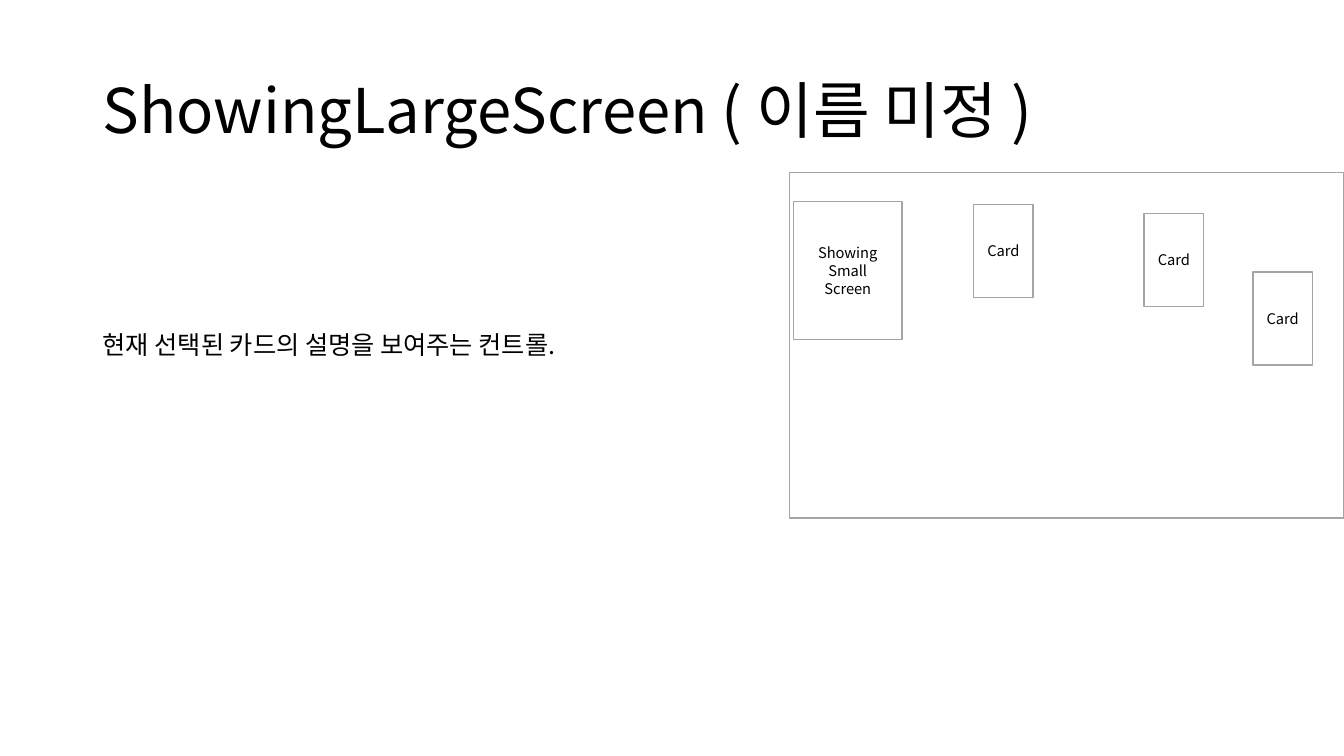
from dataclasses import dataclass

from lxml import etree
from pptx import Presentation
from pptx.dml.color import RGBColor
from pptx.enum.shapes import MSO_SHAPE
from pptx.enum.text import MSO_ANCHOR, PP_ALIGN
from pptx.oxml.ns import qn
from pptx.util import Inches, Pt

RECTANGLE = MSO_SHAPE.RECTANGLE
TOP, MIDDLE = MSO_ANCHOR.TOP, MSO_ANCHOR.MIDDLE
LEFT, CENTER = PP_ALIGN.LEFT, PP_ALIGN.CENTER


@dataclass(frozen=True)
class Theme:
    font: str = "Noto Sans CJK KR"
    ink: RGBColor = RGBColor(0x00, 0x00, 0x00)
    paper: RGBColor = RGBColor(0xFF, 0xFF, 0xFF)
    outline: RGBColor = RGBColor(0xA5, 0xA5, 0xA5)
    outline_width: float = 1
    title_size: float = 44
    body_size: float = 18
    label_size: float = 10.5


class SlideBuilder:
    """Draws on one slide; lengths are percentages of its width and height."""

    def __init__(self, deck, theme):
        self.deck, self.theme = deck, theme
        self.slide = deck.slides.add_slide(deck.slide_layouts[6])

    def place(self, left, top, width, height):
        across, down = self.deck.slide_width / 100, self.deck.slide_height / 100
        return (round(left * across), round(top * down),
                round(width * across), round(height * down))

    def fill_text(self, frame, lines, size, anchor, align, spacing):
        frame.word_wrap = True
        frame.vertical_anchor = anchor
        for index, line in enumerate(lines):
            paragraph = frame.add_paragraph() if index else frame.paragraphs[0]
            paragraph.text = line
            paragraph.alignment = align
            paragraph.line_spacing = spacing
            font = paragraph.font
            font.size = Pt(size)
            font.color.rgb = self.theme.ink
            font.name = self.theme.font
            # Hangul takes its typeface from the East Asian slot
            properties = paragraph._p.pPr.find(qn("a:defRPr"))
            etree.SubElement(properties, qn("a:ea"), typeface=self.theme.font)

    def text(self, area, line, size, anchor=TOP, spacing=1.0):
        box = self.slide.shapes.add_textbox(*self.place(*area))
        self.fill_text(box.text_frame, [line], size, anchor, LEFT, spacing)

    def box(self, area, *labels):
        shape = self.slide.shapes.add_shape(RECTANGLE, *self.place(*area))
        shape.shadow.inherit = False
        shape.fill.solid()
        shape.fill.fore_color.rgb = self.theme.paper
        shape.line.color.rgb = self.theme.outline
        shape.line.width = Pt(self.theme.outline_width)
        self.fill_text(shape.text_frame, labels, self.theme.label_size,
                       MIDDLE, CENTER, 1.0)


def main():
    deck = Presentation()
    deck.slide_width, deck.slide_height = Inches(13.33), Inches(7.5)
    theme = Theme()
    page = SlideBuilder(deck, theme)

    # Title and description share a left margin
    margin = 6.9
    page.text((margin, 5.33, 86.25, 19.33), "ShowingLargeScreen ( 이름 미정 )",
              theme.title_size, MIDDLE, 0.9)
    page.text((margin, 40.93, 55.73, 12.67),
              "현재 선택된 카드의 설명을 보여주는 컨트롤.",
              theme.body_size, spacing=1.5)

    # Large screen, reaching the right edge
    screen_left = 58.73
    page.box((screen_left, 22.8, 100 - screen_left, 45.73))

    # Cards scattered on the large screen
    card_size = (4.43, 12.27)
    for card_corner in ((72.45, 27.07), (85.13, 28.27), (93.23, 36)):
        page.box(card_corner + card_size, "Card")

    # Small screen
    page.box((59.03, 26.67, 8.1, 18.27), "Showing", "Small", "Screen")

    deck.save("out.pptx")


if __name__ == "__main__":
    main()
